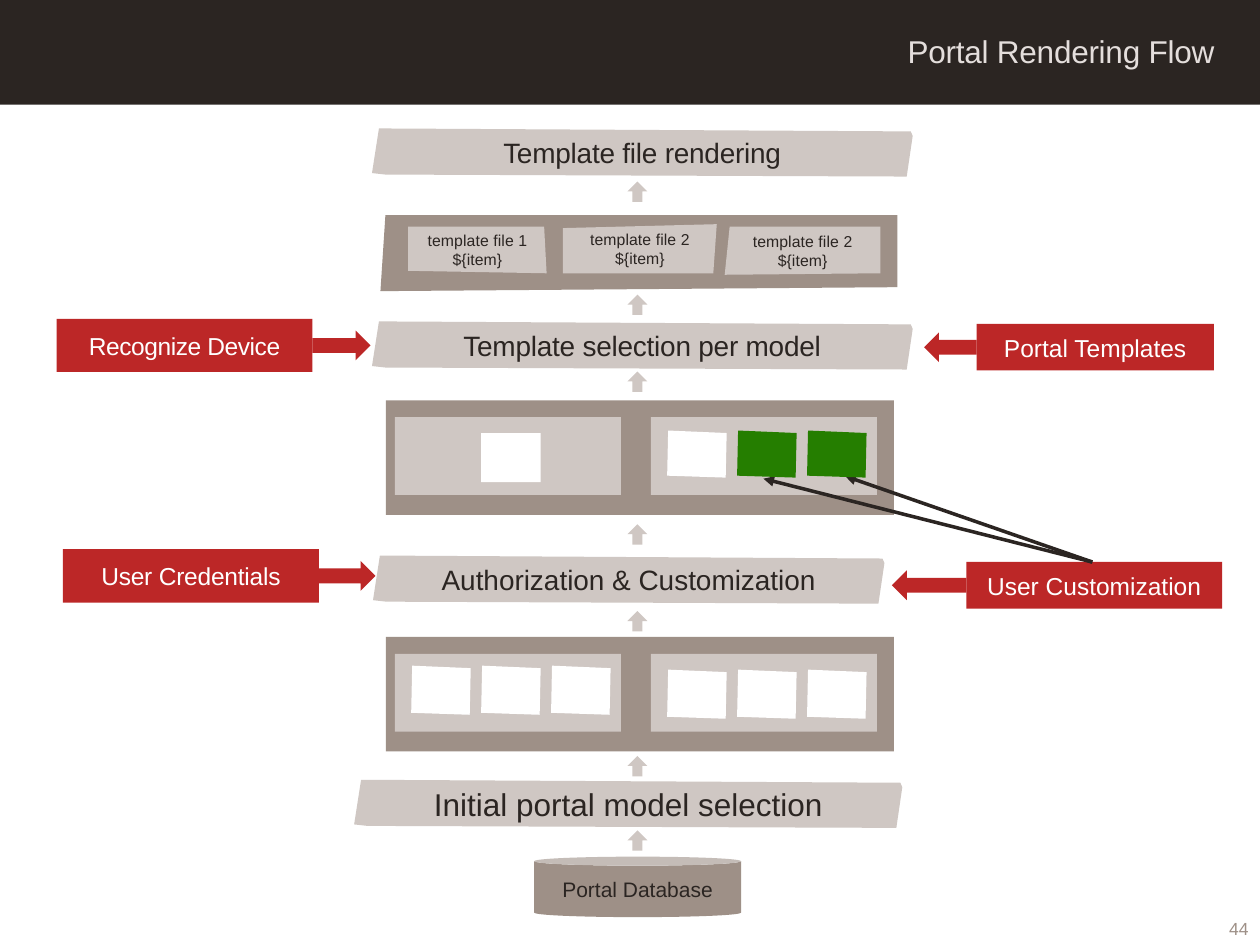
from dataclasses import dataclass

from lxml import etree
from pptx import Presentation
from pptx.dml.color import RGBColor
from pptx.enum import shapes, text
from pptx.oxml.ns import qn
from pptx.util import Cm, Pt


@dataclass(frozen=True)
class Theme:
    font: str = "Arial"
    dark: str = "2B2522"
    panel: str = "9E9087"
    light: str = "CFC7C3"
    red: str = "BC2727"
    green: str = "257E00"
    white: str = "FFFFFF"
    title_color: str = "E4DEDC"
    title: float = 18
    step: float = 16
    source: float = 14
    database: float = 12
    number: float = 10
    file: float = 9


def set_text(shape, content, size, color, font, align=text.PP_ALIGN.CENTER, spacing=0):
    """Fill a shape with one paragraph per line; spacing is in points."""
    frame = shape.text_frame
    frame.word_wrap = True
    frame.vertical_anchor = text.MSO_ANCHOR.MIDDLE
    frame.margin_left = frame.margin_right = frame.margin_top = frame.margin_bottom = 0
    frame.text = content
    for paragraph in frame.paragraphs:
        paragraph.alignment = align
        for run in paragraph.runs:
            run.font.name = font
            run.font.size = Pt(size)
            run.font.color.rgb = RGBColor.from_string(color)
            if spacing:
                run._r.get_or_add_rPr().set("spc", str(round(spacing * 100)))


class FlowSlide:
    """Draws the flow; all lengths are centimetres."""

    TILE_PITCH = 1.41
    BOX_PITCH = 5.16

    def __init__(self, slide, theme):
        self.slide = slide
        self.theme = theme

    def paint(self, shape, color):
        shape.shadow.inherit = False
        shape.fill.solid()
        shape.fill.fore_color.rgb = RGBColor.from_string(color)
        shape.line.fill.background()
        return shape

    def caption(self, shape, content, size, color=None, **options):
        set_text(shape, content, size, color or self.theme.dark, self.theme.font, **options)

    def preset(self, kind, left, top, width, height, color):
        shape = self.slide.shapes.add_shape(kind, Cm(left), Cm(top), Cm(width), Cm(height))
        return self.paint(shape, color)

    def rectangle(self, *place):
        return self.preset(shapes.MSO_SHAPE.RECTANGLE, *place)

    def polygon(self, points, color):
        corners = [(Cm(x), Cm(y)) for x, y in points]
        builder = self.slide.shapes.build_freeform(*corners[0])
        builder.add_line_segments(corners[1:], close=True)
        return self.paint(builder.convert_to_shape(), color)

    def label(self, content, left, top, width, height, size, color, **options):
        box = self.slide.shapes.add_textbox(Cm(left), Cm(top), Cm(width), Cm(height))
        self.caption(box, content, size, color, **options)

    def banner(self, content, left, top, width, size, spacing=0):
        right = left + width
        shape = self.polygon([
            (left + 0.14, top), (left, top + 0.9), (left + 0.27, top + 0.93),
            (right - 0.12, top + 0.97), (right, top + 0.15), (right - 0.04, top + 0.06),
        ], self.theme.light)
        self.caption(shape, content, size, spacing=spacing)

    def up_arrow(self, top):
        self.preset(shapes.MSO_SHAPE.UP_ARROW, 12.65, top, 0.4, 0.41, self.theme.light)

    def source(self, content, left, top, width, height, arrow, points_right, spacing=0):
        """Red box with a block arrow of the given length towards the flow."""
        box = self.rectangle(left, top, width, height, self.theme.red)
        self.caption(box, content, self.theme.source, self.theme.white, spacing=spacing)
        kind = shapes.MSO_SHAPE.RIGHT_ARROW if points_right else shapes.MSO_SHAPE.LEFT_ARROW
        start = left + width if points_right else left - arrow
        self.preset(kind, start, top + height / 2 - 0.3, arrow, 0.6, self.theme.red)

    def model_panel(self, top):
        """Panel with two boxes; returns the left edge of each box's first tile."""
        self.rectangle(7.78, top, 10.24, 2.31, self.theme.panel)
        lefts = [7.96 + index * self.BOX_PITCH for index in range(2)]
        for left in lefts:
            self.rectangle(left, top + 0.34, 4.56, 1.57, self.theme.light)
        return [left + 0.33 for left in lefts]

    def tile(self, first_left, column, top, color, height=0.99):
        left = first_left + column * self.TILE_PITCH
        right = left + 1.2
        self.polygon([
            (left + 0.02, top), (left, top + height - 0.04),
            (right - 0.02, top + height), (right, top + 0.05),
        ], color)

    def pointer(self, start, end):
        line = self.slide.shapes.add_connector(
            shapes.MSO_CONNECTOR.STRAIGHT, *(Cm(value) for value in start + end))
        line.line.color.rgb = RGBColor.from_string(self.theme.dark)
        line.line.width = Pt(2)
        etree.SubElement(line.line._get_or_add_ln(), qn("a:tailEnd"), type="triangle")
        etree.SubElement(line._element.spPr, qn("a:effectLst"))


def main():
    presentation = Presentation()
    presentation.slide_width, presentation.slide_height = Cm(25.4), Cm(19.05)
    theme = Theme()
    flow = FlowSlide(presentation.slides.add_slide(presentation.slide_layouts[6]), theme)

    flow.rectangle(0, 0, 25.4, 2.11, theme.dark)
    flow.label("Portal Rendering Flow", 0.91, 0.61, 23.57, 0.82, theme.title,
               theme.title_color, align=text.PP_ALIGN.RIGHT, spacing=-0.15)

    for content, left, top, width, size, spacing in [
        ("Template file rendering", 7.5, 2.59, 10.9, theme.step, -0.1),
        ("Template selection per model", 7.5, 6.48, 10.9, theme.step, -0.1),
        ("Authorization & Customization", 7.52, 11.2, 10.31, theme.step, 0),
        ("Initial portal model selection", 7.14, 15.72, 11.05, theme.title, 0),
    ]:
        flow.banner(content, left, top, width, size, spacing)
    for top in (3.66, 5.94, 7.49, 10.57, 12.32, 15.24, 16.74):
        flow.up_arrow(top)

    flow.polygon([(7.77, 4.34), (18.09, 4.34), (18.09, 5.79), (7.67, 5.87)], theme.panel)
    for name, corners in [
        ("template file 1", [(8.23, 4.57), (10.97, 4.57), (11.02, 5.51), (8.23, 5.46)]),
        ("template file 2", [(11.35, 4.6), (14.45, 4.52), (14.38, 5.51), (11.35, 5.51)]),
        ("template file 2", [(14.71, 4.57), (17.75, 4.57), (17.75, 5.51), (14.61, 5.54)]),
    ]:
        flow.caption(flow.polygon(corners, theme.light), name + "\n${item}", theme.file,
                     spacing=0.05)

    selected_top, initial_top = 8.07, 12.84
    for first_left, offset in zip(flow.model_panel(initial_top), (0.58, 0.66)):
        for column in range(3):
            flow.tile(first_left, column, initial_top + offset, theme.white)
    left_tiles, right_tiles = flow.model_panel(selected_top)
    flow.rectangle(left_tiles + flow.TILE_PITCH, selected_top + 0.66, 1.2, 0.99, theme.white)
    flow.tile(right_tiles, 0, selected_top + 0.61, theme.white, 0.95)

    flow.source("Recognize Device", 1.14, 6.43, 5.16, 1.07, 1.17, True, spacing=-0.25)
    flow.source("User Credentials", 1.27, 11.07, 5.16, 1.08, 1.14, True, spacing=-0.15)
    flow.source("Portal Templates", 19.69, 6.53, 4.78, 0.94, 1.06, False)
    flow.source("User Customization", 19.48, 11.33, 5.16, 0.94, 1.5, False)
    for end in [(17.04, 9.6), (15.39, 9.65)]:
        flow.pointer((22.02, 11.33), end)
    for column in (1, 2):
        flow.tile(right_tiles, column, selected_top + 0.61, theme.green, 0.95)

    database = flow.preset(shapes.MSO_SHAPE.CAN, 10.77, 17.27, 4.17, 1.22, theme.panel)
    database.adjustments[0] = 0.15
    flow.caption(database, "Portal Database", theme.database)
    flow.label("44", 24.2, 18.5, 0.97, 0.45, theme.number, theme.panel,
               align=text.PP_ALIGN.RIGHT)

    presentation.save("out.pptx")


if __name__ == "__main__":
    main()
